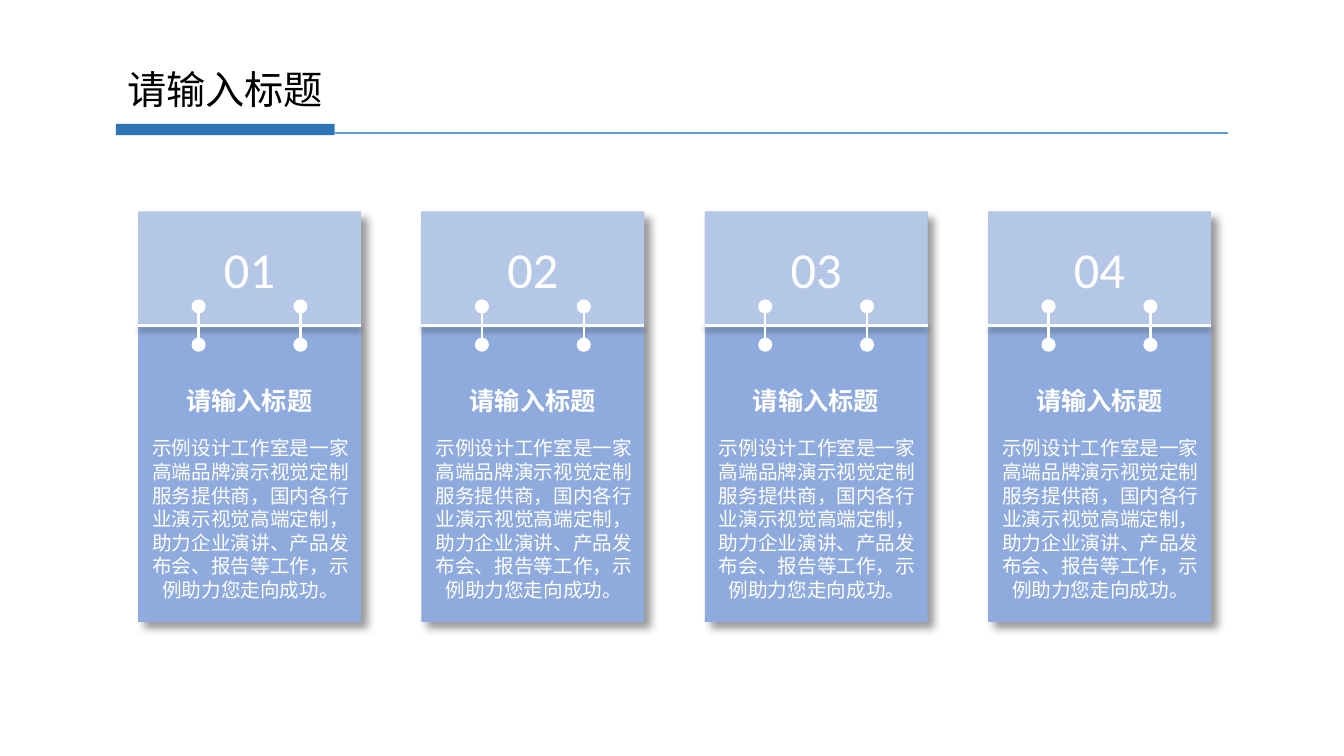
from lxml import etree
from pptx import Presentation
from pptx.dml.color import RGBColor
from pptx.enum.shapes import MSO_CONNECTOR, MSO_SHAPE
from pptx.enum.text import MSO_ANCHOR, MSO_AUTO_SIZE, PP_ALIGN
from pptx.oxml.ns import qn
from pptx.util import Inches, Pt

RECTANGLE, OVAL = MSO_SHAPE.RECTANGLE, MSO_SHAPE.OVAL
STRAIGHT = MSO_CONNECTOR.STRAIGHT
TOP, MIDDLE = MSO_ANCHOR.TOP, MSO_ANCHOR.MIDDLE
LEFT, CENTER = PP_ALIGN.LEFT, PP_ALIGN.CENTER
NO_AUTOFIT = MSO_AUTO_SIZE.NONE

COLORS = {"bar": "2E75B6", "rule": "5B9BD5", "card": "8FAADC", "header": "B4C7E7",
          "white": "FFFFFF", "black": "000000"}
CJK_FONT, NUMBER_FONT = "Noto Sans CJK SC", "Calibri"
HEADING = "请输入标题"
BODY = ("示例设计工作室是一家高端品牌演示视觉定制服务提供商，国内各行业演示视觉高端定制，"
        "助力企业演讲、产品发布会、报告等工作，示例助力您走向成功。")

# Card grid in inches
CARD_LEFT, CARD_TOP, CARD_STEP = 1.37, 2.1, 2.81
CARD_WIDTH, CARD_HEIGHT, HEADER_HEIGHT = 2.21, 4.07, 1.13
FOLD = CARD_TOP + HEADER_HEIGHT
DOT, DOT_GAP = 0.14, 0.12
PIN_OFFSETS = (1.61, 0.6)


def write(box, text, size, font, color="white", bold=False, align=CENTER, anchor=TOP, wrap=True):
    frame = box.text_frame
    settings = {"word_wrap": wrap, "vertical_anchor": anchor, "auto_size": NO_AUTOFIT}
    for name, value in settings.items():
        setattr(frame, name, value)
    para = frame.paragraphs[0]
    para.alignment = align
    span = para.add_run()
    span.text = text
    for name, value in {"size": Pt(size), "name": font, "bold": bold}.items():
        setattr(span.font, name, value)
    span.font.color.rgb = RGBColor.from_string(COLORS[color])
    etree.SubElement(span.font._element, qn("a:ea"), typeface=font)


def paint(item, color, line_width=None, shadow=None):
    """Fill a shape, or stroke a connector of the given width; shadow is blur, distance, angle."""
    rgb = RGBColor.from_string(COLORS[color])
    if line_width:
        item.line.color.rgb = rgb
        item.line.width = Pt(line_width)
    else:
        item.fill.solid()
        item.fill.fore_color.rgb = rgb
        item.line.fill.background()
    effects = etree.SubElement(item._element.spPr, qn("a:effectLst"))
    if shadow:
        blur, distance, angle = shadow
        outer = etree.SubElement(effects, qn("a:outerShdw"), blurRad=str(Pt(blur)),
                                 dist=str(Pt(distance)), dir=str(angle * 60000),
                                 algn="tl", rotWithShape="0")
        tone = etree.SubElement(outer, qn("a:srgbClr"), val=COLORS["black"])
        etree.SubElement(tone, qn("a:alpha"), val="40000")


deck = Presentation()
deck.slide_width, deck.slide_height = Inches(13.33), Inches(7.5)
page = deck.slides.add_slide(deck.slide_layouts[5])
shapes = page.shapes

# Title with its bar and rule
title = shapes.title
for name, value in {"left": 1.16, "top": 0.6, "width": 2.17, "height": 0.57}.items():
    setattr(title, name, Inches(value))
write(title, HEADING, 28, CJK_FONT, "black", align=LEFT, wrap=False)
bar = shapes.add_shape(RECTANGLE, Inches(1.15), Inches(1.23), Inches(2.17), Inches(0.11))
paint(bar, "bar")
rule = shapes.add_connector(STRAIGHT, Inches(3.32), Inches(1.32), Inches(12.18), Inches(1.32))
paint(rule, "rule", line_width=2)

for index in range(4):
    left = CARD_LEFT + index * CARD_STEP

    # Card and numbered header
    card = shapes.add_shape(RECTANGLE, Inches(left), Inches(CARD_TOP),
                            Inches(CARD_WIDTH), Inches(CARD_HEIGHT))
    paint(card, "card", shadow=(6, 6, 45))
    header = shapes.add_shape(RECTANGLE, Inches(left), Inches(CARD_TOP),
                              Inches(CARD_WIDTH), Inches(HEADER_HEIGHT))
    paint(header, "header")
    write(header, f"{index + 1:02}", 36, NUMBER_FONT, anchor=MIDDLE)
    fold = shapes.add_connector(STRAIGHT, Inches(left), Inches(FOLD),
                                Inches(left + CARD_WIDTH), Inches(FOLD))
    paint(fold, "white", line_width=2, shadow=(4, 3, 90))

    # Binding pins: a dot above and below the fold, each with a stem to it
    for offset in PIN_OFFSETS:
        center = left + offset
        for side in (-1, 1):
            dot_edge = FOLD + side * DOT_GAP
            dot_top = dot_edge - DOT if side < 0 else dot_edge
            dot = shapes.add_shape(OVAL, Inches(center - DOT / 2), Inches(dot_top),
                                   Inches(DOT), Inches(DOT))
            paint(dot, "white")
            stem = shapes.add_connector(STRAIGHT, Inches(center), Inches(dot_edge),
                                        Inches(center), Inches(FOLD))
            paint(stem, "white", line_width=1.75)

    # Card text
    heading = shapes.add_textbox(Inches(left + 0.38), Inches(3.77), Inches(1.46), Inches(0.4))
    write(heading, HEADING, 18, CJK_FONT, bold=True, align=LEFT, wrap=False)
    body = shapes.add_textbox(Inches(left + 0.02), Inches(4.28), Inches(2.19), Inches(1.75))
    write(body, BODY, 14, CJK_FONT)

deck.save("out.pptx")
